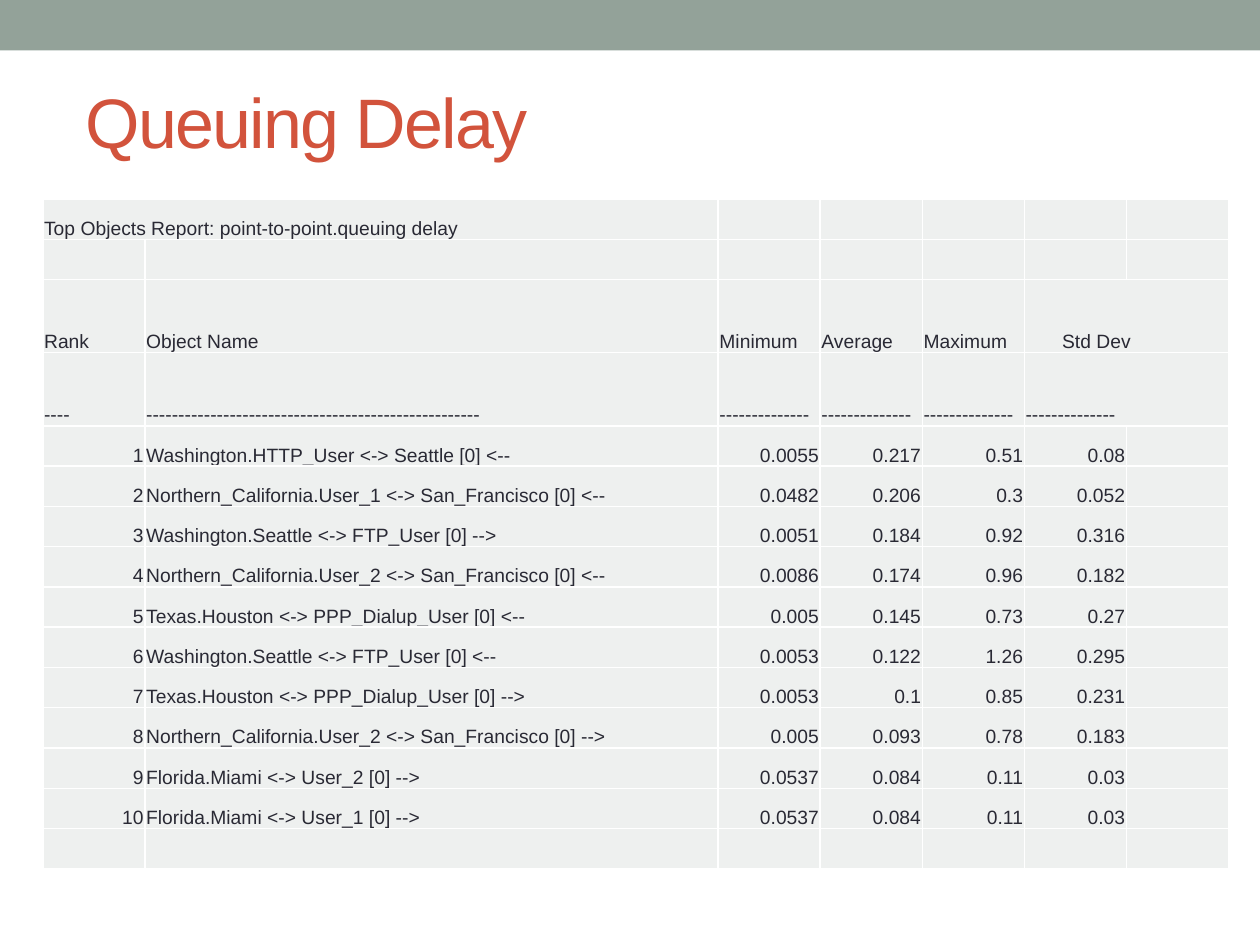
from dataclasses import dataclass

from lxml.etree import SubElement
from pptx import Presentation
from pptx.dml.color import RGBColor as Color
from pptx.enum.shapes import MSO_SHAPE as Shape
from pptx.enum.text import MSO_ANCHOR as Anchor, PP_ALIGN as Align
from pptx.oxml import parse_xml
from pptx.oxml.ns import nsdecls, qn
from pptx.util import Inches, Pt


@dataclass(frozen=True)
class Theme:
    """Colours, font and type sizes of the slide."""
    font: str = "Arial"
    band: str = "93A299"
    title: str = "D2533C"
    text: str = "292934"
    cell: str = "EEF0EF"
    rule: str = "FFFFFF"
    head: int = 40
    body: int = 11


THEME = Theme()
COLS = [0.81, 4.55] + [0.81] * 5
ROWS = [0.32] * 2 + [0.58] * 2 + [0.32] * 11
SPANS = [(0, 0, 1), (2, 5, 6), (3, 5, 6)]
NUMS = {0, 2, 3, 4, 5}
FIRST = 4
DASH = "-" * 14
DATA = [
    ("Washington.HTTP_User <-> Seattle [0] <--", "0.0055", "0.217", "0.51", "0.08"),
    ("Northern_California.User_1 <-> San_Francisco [0] <--", "0.0482", "0.206", "0.3", "0.052"),
    ("Washington.Seattle <-> FTP_User [0] -->", "0.0051", "0.184", "0.92", "0.316"),
    ("Northern_California.User_2 <-> San_Francisco [0] <--", "0.0086", "0.174", "0.96", "0.182"),
    ("Texas.Houston <-> PPP_Dialup_User [0] <--", "0.005", "0.145", "0.73", "0.27"),
    ("Washington.Seattle <-> FTP_User [0] <--", "0.0053", "0.122", "1.26", "0.295"),
    ("Texas.Houston <-> PPP_Dialup_User [0] -->", "0.0053", "0.1", "0.85", "0.231"),
    ("Northern_California.User_2 <-> San_Francisco [0] -->", "0.005", "0.093", "0.78", "0.183"),
    ("Florida.Miami <-> User_2 [0] -->", "0.0537", "0.084", "0.11", "0.03"),
    ("Florida.Miami <-> User_1 [0] -->", "0.0537", "0.084", "0.11", "0.03"),
]
GRID = [
    ("Top Objects Report: point-to-point.queuing delay",),
    (),
    ("Rank", "Object Name", "Minimum", "Average", "Maximum", "Std Dev"),
    ("----", "-" * 52, DASH, DASH, DASH, DASH),
    *((str(rank), *row) for rank, row in enumerate(DATA, 1)),
    (),
]


def style(para, size, tint):
    """Set the font of a paragraph."""
    font = para.font
    font.name, font.size = THEME.font, Pt(size)
    font.color.rgb = Color.from_string(tint)


def add_band(slide, x, y, w, h):
    """Add the plain band along the top."""
    band = slide.shapes.add_shape(Shape.RECTANGLE, Inches(x), Inches(y), Inches(w), Inches(h))
    band.shadow.inherit = False
    band.fill.solid()
    band.fill.fore_color.rgb = Color.from_string(THEME.band)
    band.line.fill.background()


def add_title(slide, x, y, w, h, text):
    """Add the title with slightly tight letters."""
    frame = slide.shapes.add_textbox(Inches(x), Inches(y), Inches(w), Inches(h)).text_frame
    frame.word_wrap = True
    frame.vertical_anchor = Anchor.MIDDLE
    para = frame.paragraphs[0]
    run = para.add_run()
    run.text = text
    style(para, THEME.head, THEME.title)
    run._r.get_or_add_rPr().set("spc", "-100")


def rule_cell(cell):
    """Draw a thin rule on all four sides of a cell."""
    props = cell._tc.get_or_add_tcPr()
    for place, side in enumerate(("lnL", "lnR", "lnT", "lnB")):
        line = parse_xml(f'<a:{side} {nsdecls("a")} w="{Pt(1)}"/>')
        fill = SubElement(line, qn("a:solidFill"))
        SubElement(fill, qn("a:srgbClr")).set("val", THEME.rule)
        props.insert(place, line)


def fill_cell(cell, text, align, left=0.01):
    """Fill a cell with its text, colour and rules."""
    cell.margin_left = Inches(left)
    cell.margin_right = cell.margin_top = Inches(0.01)
    cell.margin_bottom = 0
    cell.vertical_anchor = Anchor.BOTTOM
    cell.fill.solid()
    cell.fill.fore_color.rgb = Color.from_string(THEME.cell)
    para = cell.text_frame.paragraphs[0]
    if text:
        para.text = text
    para.alignment = align
    style(para, THEME.body, THEME.text)
    rule_cell(cell)


def add_report(slide, x, y):
    """Add the table of delays with its top left corner at x, y."""
    table = slide.shapes.add_table(len(ROWS), len(COLS), Inches(x), Inches(y),
                                   Inches(sum(COLS)), Inches(sum(ROWS))).table
    table.first_row = table.horz_banding = False
    for col, width in zip(table.columns, COLS):
        col.width = Inches(width)
    for row, height in zip(table.rows, ROWS):
        row.height = Inches(height)
    for row, start, end in SPANS:
        table.cell(row, start).merge(table.cell(row, end))
    for r, texts in enumerate(GRID):
        for c in range(len(COLS)):
            cell = table.cell(r, c)
            if cell.is_spanned:
                continue
            text = texts[c] if c < len(texts) else ""
            align = Align.RIGHT if r >= FIRST and c in NUMS else Align.LEFT
            fill_cell(cell, text, align, 0.3 if text == "Std Dev" else 0.01)


def main():
    """Build the slide and save it."""
    deck = Presentation()
    deck.slide_width, deck.slide_height = Inches(10), Inches(7.5)
    slide = deck.slides.add_slide(deck.slide_layouts[6])
    add_band(slide, 0, 0, 10, 0.4)
    add_title(slide, 0.58, 0.33, 9, 1.25, "Queuing Delay")
    add_report(slide, 0.34, 1.58)
    deck.save("out.pptx")


if __name__ == "__main__":
    main()
